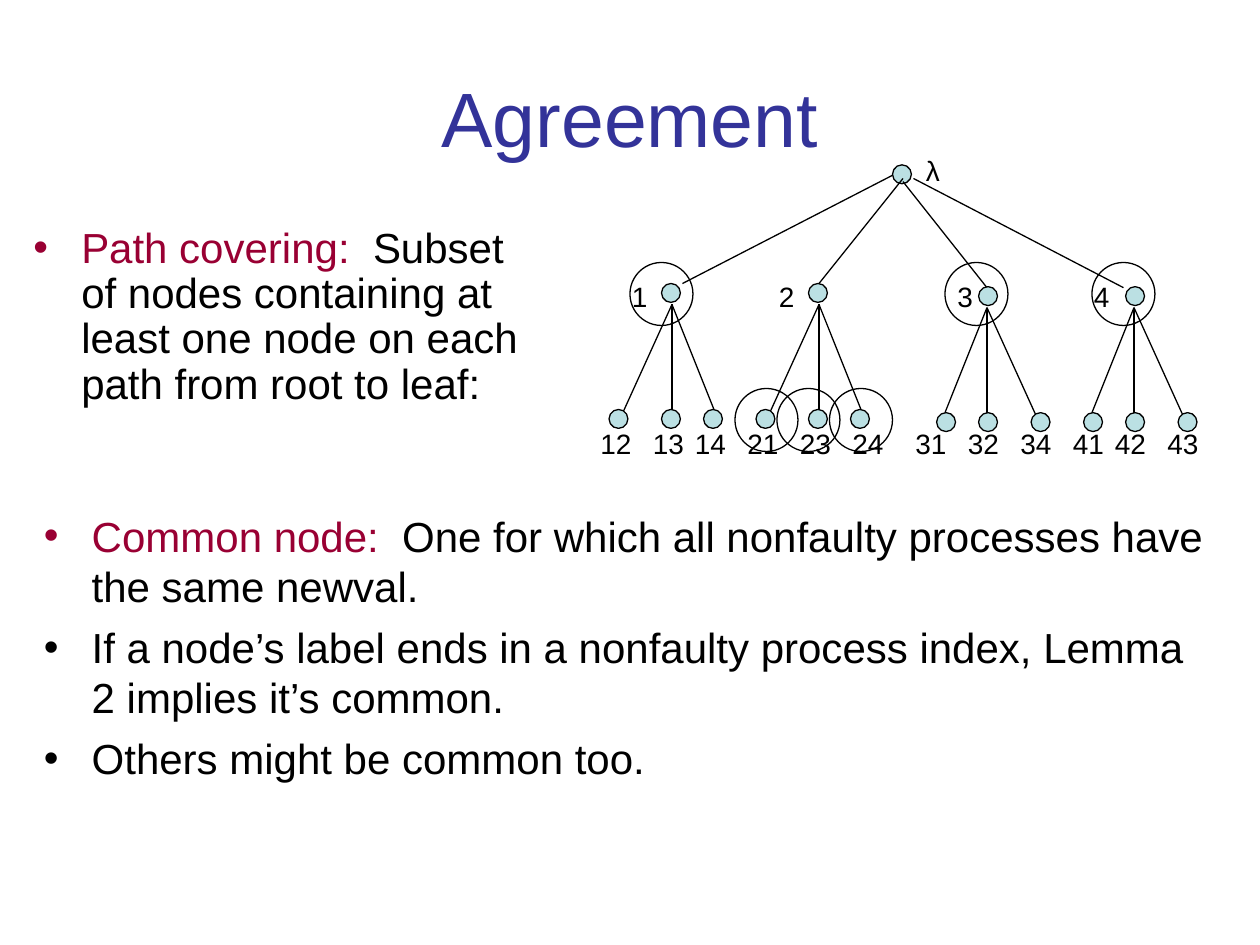
"""Build the Agreement slide: a labelled process tree with bulleted definitions."""
from lxml import etree
from pptx import Presentation
from pptx.dml.color import RGBColor
from pptx.enum.shapes import MSO_CONNECTOR, MSO_SHAPE
from pptx.enum.text import MSO_ANCHOR, PP_ALIGN
from pptx.oxml.ns import qn
from pptx.util import Inches, Pt

LINE, OVAL = MSO_CONNECTOR.STRAIGHT, MSO_SHAPE.OVAL
MID, MID_ALIGN = MSO_ANCHOR.MIDDLE, PP_ALIGN.CENTER
HUES = {"title": "333399", "term": "990033", "ink": "000000", "node": "BBE0E3"}
INK = {name: RGBColor.from_string(code) for name, code in HUES.items()}

deck = Presentation()
deck.slide_width, deck.slide_height = Inches(10), Inches(7.5)
slide = deck.slides.add_slide(deck.slide_layouts[5])
shapes = slide.shapes
COL, ROW = deck.slide_width / 120, deck.slide_height / 90


def write(para, text, size, hue):
    run = para.add_run()
    run.text = text
    for key, val in {"name": "Arial", "size": Pt(size)}.items():
        setattr(run.font, key, val)
    run.font.color.rgb = INK[hue]


def oval(col, row, span, hue=None):
    ring = shapes.add_shape(OVAL, *map(int, (col * COL, row * ROW, span * COL, span * ROW)))
    ring.shadow.inherit = False
    if hue:
        ring.fill.solid()
        ring.fill.fore_color.rgb = INK[hue]
    else:
        ring.fill.background()
    ring.line.color.rgb, ring.line.width = INK["ink"], Pt(0.75)


title = shapes.title
place = {"left": 6 * COL, "top": 3.6 * ROW, "width": 108 * COL, "height": 15 * ROW}
for key, val in place.items():
    setattr(title, key, int(val))
title.text_frame.vertical_anchor = MID
head = title.text_frame.paragraphs[0]
head.alignment = MID_ALIGN
write(head, "Agreement", 44, "title")

BLOCKS = [
    ((2, 21, 50, 26), 0.9, [
        ("Path covering:",
         "  Subset of nodes containing at least one node on each path from root to leaf:")]),
    ((3, 48, 113, 39), 1.0, [
        ("Common node:", "  One for which all nonfaulty processes have the same newval."),
        ("", "If a node’s label ends in a nonfaulty process index, Lemma 2 implies it’s common."),
        ("", "Others might be common too.")]),
]
for (col, row, wide, high), gap, items in BLOCKS:
    box = shapes.add_textbox(*map(int, (col * COL, row * ROW, wide * COL, high * ROW)))
    frame = box.text_frame
    frame.word_wrap = True
    for i, (term, rest) in enumerate(items):
        para = frame.paragraphs[0] if i == 0 else frame.add_paragraph()
        for key, val in {"line_spacing": gap, "space_before": Pt(6)}.items():
            setattr(para, key, val)
        props = para._p.get_or_add_pPr()
        props.set("marL", str(Inches(0.38)))
        props.set("indent", str(-Inches(0.38)))
        tint = etree.SubElement(props, qn("a:buClr"))
        etree.SubElement(tint, qn("a:srgbClr"), val=HUES["term" if term else "ink"])
        etree.SubElement(props, qn("a:buFont"), typeface="Arial")
        etree.SubElement(props, qn("a:buChar"), char="•")
        if term:
            write(para, term, 24, "term")
        write(para, rest, 24, "ink")

# apex column, drop, root edge, leaf edge ends, label columns
TREES = [
    (64, 0, (65, 27, 85, 16.7), (59, 64, 68), (59, 56, 61, 65), ("1", "12", "13", "14")),
    (78, 0, (78, 27, 86, 17), (73, 78, 82), (73, 70, 75, 80), ("2", "21", "23", "24")),
    (94, 0.3, (94, 27.4, 86, 17.3), (90, 94, 99), (90, 86, 91, 96), ("3", "31", "32", "34")),
    (108, 0.3, (107, 27.4, 87, 17), (104, 108, 113), (103, 101, 105, 110),
     ("4", "41", "42", "43")),
]
NODE = 1.8
edges, nodes, names = [], [], [(87, 14, "λ")]
for apex, drop, stem, ends, cols, words in TREES:
    shift = 0.8 if drop else 1
    far = 2 if drop else 0
    edges.append(stem)
    nodes.append((apex - shift, 27 + drop))
    for i, end in enumerate(ends):
        edges.append((apex, 29 + drop, end, 39 + drop + (i == far)))
        nodes.append((end - shift, 39 + drop))
    names += zip(cols, (26, 40, 40, 40), words)

for col, row, word in names:
    box = shapes.add_textbox(*map(int, (col * COL, row * ROW, 5.8 * COL, 4.4 * ROW)))
    box.text_frame.word_wrap = True
    write(box.text_frame.paragraphs[0], word, 16, "ink")

oval(85, 15.7, NODE, "node")
for edge in edges:
    link = shapes.add_connector(LINE, *(int(n * u) for n, u in zip(edge, (COL, ROW) * 2)))
    link.line.color.rgb, link.line.width = INK["ink"], Pt(0.75)
    etree.SubElement(link._element.spPr, qn("a:effectLst"))
for col, row in nodes:
    oval(col, row, NODE, "node")
for col, row in ((60, 25), (79, 37), (74, 37), (70, 37), (104, 25), (90, 25)):
    oval(col, row, 6)

deck.save("out.pptx")
